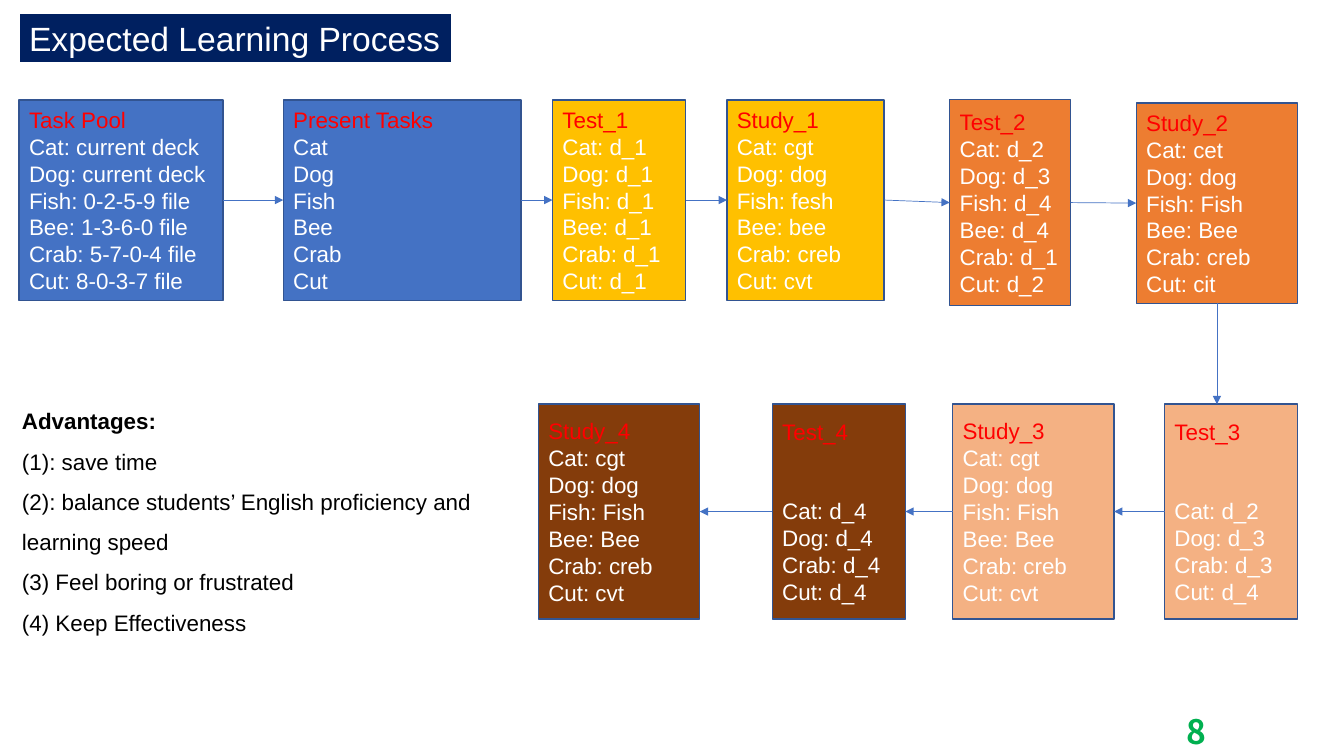
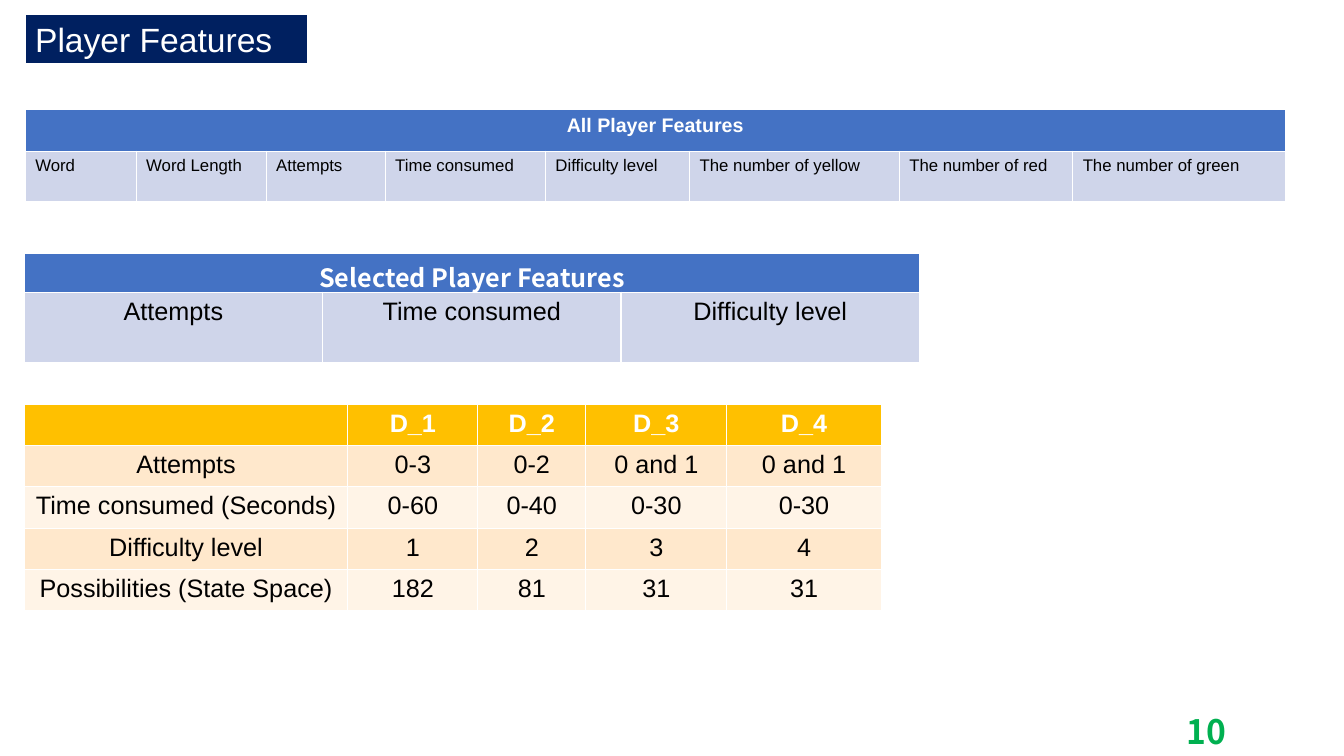
from itertools import pairwise

from lxml.etree import SubElement
from pptx import Presentation
from pptx.dml.color import RGBColor
from pptx.enum.shapes import MSO_CONNECTOR, MSO_SHAPE
from pptx.enum.text import MSO_ANCHOR, PP_ALIGN
from pptx.oxml.ns import qn
from pptx.util import Inches, Pt

WHITE, BLACK, RED, GREEN = "FFFFFF", "000000", "FF0000", "00B050"
NAVY, BLUE, OUTLINE, PALE_BLUE = "002060", "4472C4", "325491", "CFD5EA"
AMBER, ORANGE, PEACH, BROWN = "FFC000", "ED7D31", "F4B183", "843C0B"
BANDS = ("FFE8CC", "FFF4E7")
SANS, NOTO = "Arial", "Noto Sans CJK SC"

TITLE = {"name": SANS, "size": Pt(24), "color": WHITE}
NUMBER = {"name": NOTO, "size": Pt(24), "bold": True, "color": GREEN}
BODY = {"name": SANS, "size": Pt(16), "color": BLACK}
ADVANTAGE_HEAD = BODY | {"bold": True}
STAGE_HEAD, STAGE_WORD = BODY | {"color": RED}, BODY | {"color": WHITE}
CELL = {"name": SANS, "size": Pt(18), "bold": False, "color": BLACK}
CELL_HEAD = CELL | {"bold": True, "color": WHITE}

# Row of the flow: top and height
FLOW_ROWS = {"upper": (0.99, 1.99), "tall": (0.99, 2.04),
             "shifted": (1.02, 1.99), "lower": (4.01, 2.13)}
TWO_LINES = Pt(37)
# Heading, words, fill, row, left, width, space under the heading
STAGES = [
    ("Task Pool", ["Cat: current deck", "Dog: current deck", "Fish: 0-2-5-9 file",
                   "Bee: 1-3-6-0 file", "Crab: 5-7-0-4 file", "Cut: 8-0-3-7 file"],
     BLUE, "upper", 0.19, 2.02, 0),
    ("Present Tasks", ["Cat", "Dog", "Fish", "Bee", "Crab", "Cut"],
     BLUE, "upper", 2.81, 2.36, 0),
    ("Test_1", ["Cat: d_1", "Dog: d_1", "Fish: d_1", "Bee: d_1", "Crab: d_1", "Cut: d_1"],
     AMBER, "upper", 5.48, 1.32, 0),
    ("Study_1", ["Cat: cgt", "Dog: dog", "Fish: fesh", "Bee: bee", "Crab: creb", "Cut: cvt"],
     AMBER, "upper", 7.21, 1.56, 0),
    ("Test_2", ["Cat: d_2", "Dog: d_3", "Fish: d_4", "Bee: d_4", "Crab: d_1", "Cut: d_2"],
     ORANGE, "tall", 9.42, 1.2, 0),
    ("Study_2", ["Cat: cet", "Dog: dog", "Fish: Fish", "Bee: Bee", "Crab: creb", "Cut: cit"],
     ORANGE, "shifted", 11.27, 1.6, 0),
    ("Test_3", ["Cat: d_2", "Dog: d_3", "Crab: d_3", "Cut: d_4"],
     PEACH, "lower", 11.55, 1.32, TWO_LINES),
    ("Study_3", ["Cat: cgt", "Dog: dog", "Fish: Fish", "Bee: Bee", "Crab: creb", "Cut: cvt"],
     PEACH, "lower", 9.45, 1.6, 0),
    ("Test_4", ["Cat: d_4", "Dog: d_4", "Crab: d_4", "Cut: d_4"],
     BROWN, "lower", 7.66, 1.32, TWO_LINES),
    ("Study_4", ["Cat: cgt", "Dog: dog", "Fish: Fish", "Bee: Bee", "Crab: creb", "Cut: cvt"],
     BROWN, "lower", 5.34, 1.6, 0),
]
ADVANTAGES = [
    "Advantages: ",
    "(1): save time",
    "(2): balance students’ English proficiency and learning speed",
    "(3) Feel boring or frustrated",
    "(4) Keep Effectiveness",
]

ALL_FEATURES = [
    ["All Player Features"],
    ["Word", "Word Length", "Attempts", "Time consumed", "Difficulty level",
     "The number of yellow", "The number of red", "The number of green"],
]
SELECTED_FEATURES = [
    ["Selected Player Features"],
    ["Attempts", "Time consumed", "Difficulty level"],
]
DIFFICULTIES = [
    ["", "D_1", "D_2", "D_3", "D_4"],
    ["Attempts", "0-3", "0-2", "0 and 1", "0 and 1"],
    ["Time consumed (Seconds)", "0-60", "0-40", "0-30", "0-30"],
    ["Difficulty level", "1", "2", "3", "4"],
    ["Possibilities (State Space)", "182", "81", "31", "31"],
]


def rgb(color):
    """Turn a hex string into a colour."""
    return RGBColor.from_string(color)


def write(paragraph, words, font, **layout):
    """Put words in a paragraph, with font and paragraph settings."""
    run = paragraph.add_run()
    run.text = words
    for key, value in font.items():
        if key == "color":
            run.font.color.rgb = rgb(value)
        else:
            setattr(run.font, key, value)
    for key, value in layout.items():
        setattr(paragraph, key, value)


def write_lines(frame, lines, head, body, under_head=0, **layout):
    """Fill a text frame with a heading and the lines under it."""
    frame.word_wrap = True
    for index, words in enumerate(lines):
        paragraph = frame.add_paragraph() if index else frame.paragraphs[0]
        write(paragraph, words, body if index else head, alignment=PP_ALIGN.LEFT, **layout)
    if under_head:
        frame.paragraphs[0].space_after = under_head


def add_box(slide, place, fill, line, width, anchor):
    """Draw a flat rectangle and return it."""
    box = slide.shapes.add_shape(MSO_SHAPE.RECTANGLE, *map(Inches, place))
    box.shadow.inherit = False
    box.fill.solid()
    box.fill.fore_color.rgb = rgb(fill)
    box.line.color.rgb = rgb(line)
    box.line.width = Pt(width)
    box.text_frame.vertical_anchor = anchor
    return box


def add_text(slide, place, lines, head, body, **layout):
    """Add a wrapped text box."""
    area = slide.shapes.add_textbox(*map(Inches, place))
    write_lines(area.text_frame, lines, head, body, **layout)


def add_page(deck, title, place, number):
    """Add a blank slide with its title band and slide number."""
    slide = deck.slides.add_slide(deck.slide_layouts[6])
    band = add_box(slide, place, NAVY, WHITE, 1.5, MSO_ANCHOR.TOP)
    write_lines(band.text_frame, [title], TITLE, TITLE)
    add_text(slide, (11.67, 7, 1.23, 0.5), [number], NUMBER, NUMBER)
    return slide


def add_arrow(slide, source, target):
    """Point from one stage to the next: right, left or down."""
    def middle(stage):
        return stage.top + stage.height // 2

    if target.top > source.top + source.height:
        x = source.left + source.width // 2
        ends = (x, source.top + source.height, x, target.top)
    elif target.left > source.left:
        ends = (source.left + source.width, middle(source), target.left, middle(target))
    else:
        ends = (source.left, middle(source), target.left + target.width, middle(target))
    arrow = slide.shapes.add_connector(MSO_CONNECTOR.STRAIGHT, *ends)
    arrow.line.color.rgb = rgb(BLUE)
    arrow.line.width = Pt(0.5)
    SubElement(arrow.line._get_or_add_ln(), qn("a:tailEnd"), type="triangle")
    SubElement(arrow._element.spPr, qn("a:effectLst"))


def add_grid(slide, corner, columns, rows, content, fills, head, body, body_align):
    """Add a table; a single heading spans all columns."""
    size = (sum(columns), sum(rows))
    table = slide.shapes.add_table(
        len(rows), len(columns), *map(Inches, corner + size)).table
    for column, width in zip(table.columns, columns):
        column.width = Inches(width)
    for row, height in zip(table.rows, rows):
        row.height = Inches(height)
    if len(content[0]) == 1:
        table.cell(0, 0).merge(table.cell(0, len(columns) - 1))
        table.cell(0, 0).margin_bottom = 0
    for r, texts in enumerate(content):
        for c, words in enumerate(texts):
            cell = table.cell(r, c)
            cell.fill.solid()
            cell.fill.fore_color.rgb = rgb(fills[r])
            if words:
                write(cell.text_frame.paragraphs[0], words, body if r else head,
                      alignment=body_align if r else PP_ALIGN.CENTER)


def build_process(deck):
    """Build the flow of tests and studies."""
    slide = add_page(deck, "Expected Learning Process", (0.19, 0.13, 4.29, 0.5), "8")
    boxes = []
    for heading, words, fill, row, left, width, gap in STAGES:
        top, height = FLOW_ROWS[row]
        box = add_box(slide, (left, top, width, height), fill, OUTLINE, 1, MSO_ANCHOR.MIDDLE)
        write_lines(box.text_frame, [heading, *words], STAGE_HEAD, STAGE_WORD, gap)
        boxes.append(box)
    for source, target in pairwise(boxes):
        add_arrow(slide, source, target)
    add_text(slide, (0.12, 3.86, 5.13, 2.47), ADVANTAGES, ADVANTAGE_HEAD, BODY,
             line_spacing=1.5)


def build_features(deck):
    """Build the three feature tables."""
    slide = add_page(deck, "Player Features", (0.25, 0.14, 2.81, 0.5), "10")
    add_grid(slide, (0.25, 1.09), (1.1, 1.29, 1.18, 1.59, 1.43, 2.08, 1.72, 2.11),
             (0.41, 0.5), ALL_FEATURES, (BLUE, PALE_BLUE),
             CELL_HEAD | {"size": Pt(14)}, CELL | {"size": Pt(12)}, PP_ALIGN.LEFT)
    add_grid(slide, (0.24, 2.51), (2.96,) * 3, (0.39, 0.7), SELECTED_FEATURES,
             (BLUE, PALE_BLUE), CELL_HEAD | {"name": NOTO}, CELL, PP_ALIGN.CENTER)
    add_grid(slide, (0.24, 4.01), (3.21, 1.29, 1.07, 1.4, 1.53), (0.41,) * 5,
             DIFFICULTIES, (AMBER, *BANDS * 2), CELL_HEAD, CELL, PP_ALIGN.CENTER)


deck = Presentation()
deck.slide_width, deck.slide_height = Inches(13.33), Inches(7.5)
build_process(deck)
build_features(deck)
deck.save("out.pptx")
